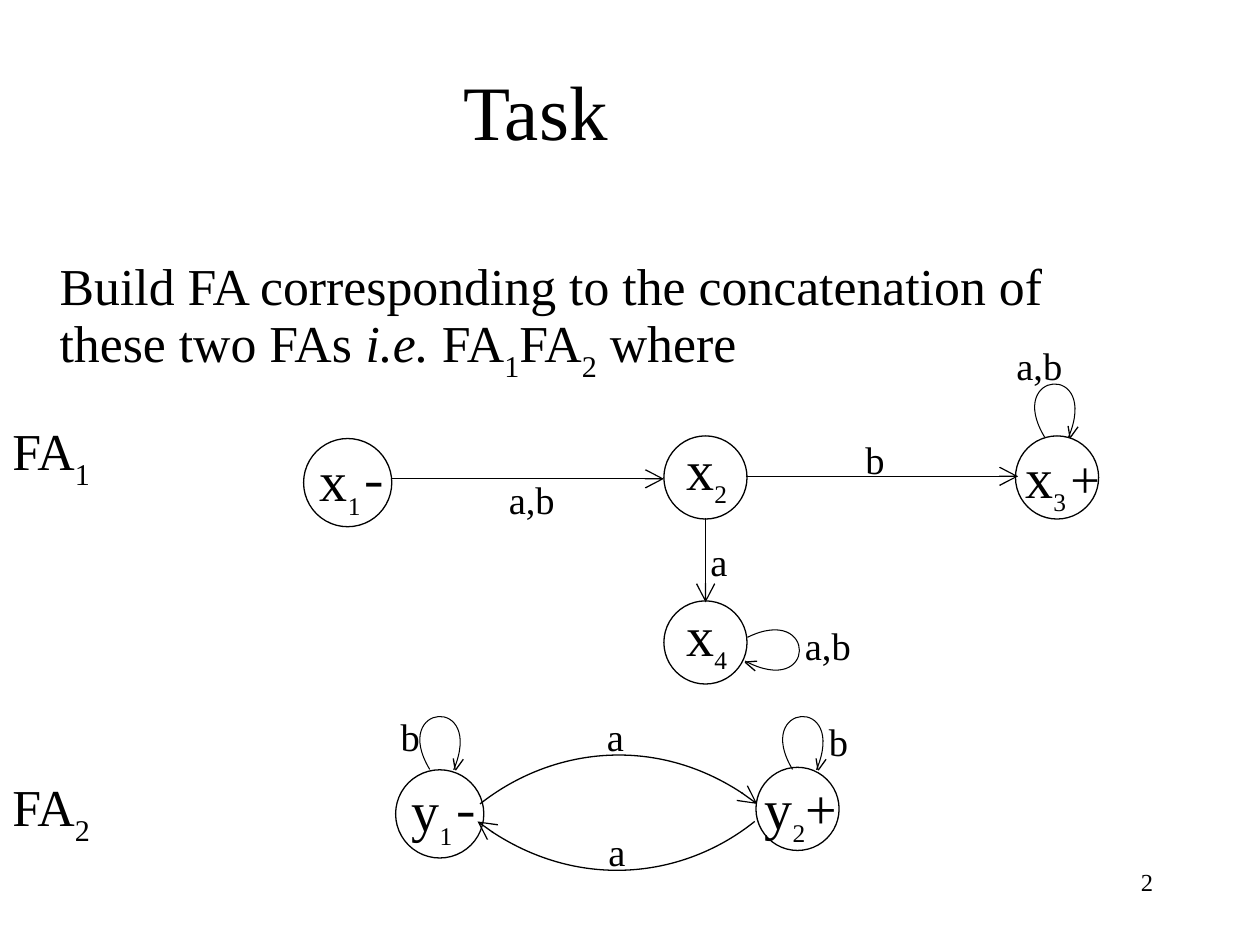
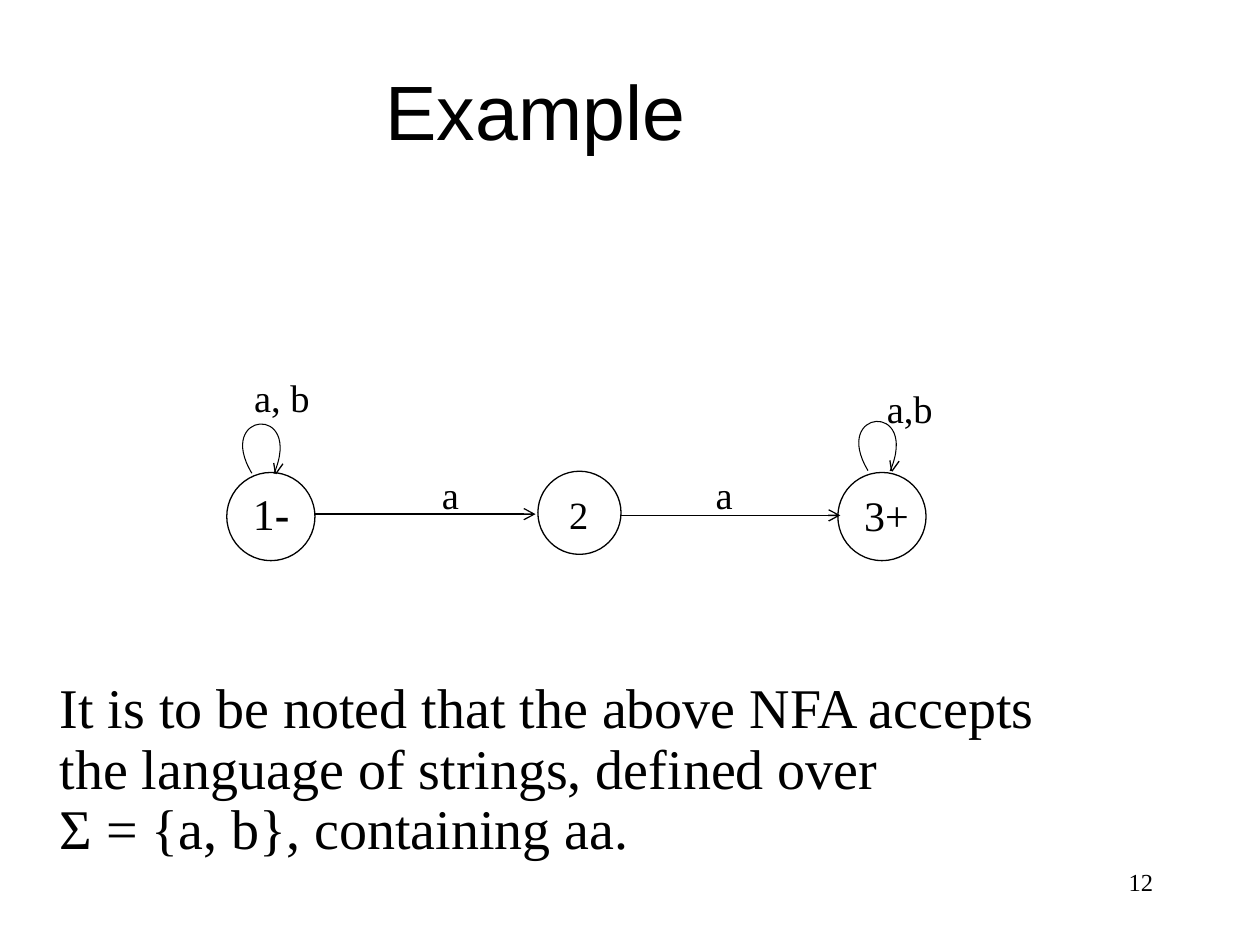
"""Build two slides of finite automata diagrams."""
from dataclasses import dataclass
from math import cos, radians, sin

from lxml import etree
from pptx import Presentation
from pptx.dml.color import RGBColor
from pptx.enum.shapes import MSO_CONNECTOR, MSO_SHAPE
from pptx.enum.text import MSO_ANCHOR, PP_ALIGN
from pptx.oxml.ns import qn
from pptx.util import Pt

LEFT, CENTER, RIGHT = PP_ALIGN.LEFT, PP_ALIGN.CENTER, PP_ALIGN.RIGHT
TOP, MIDDLE, BOTTOM = MSO_ANCHOR.TOP, MSO_ANCHOR.MIDDLE, MSO_ANCHOR.BOTTOM
OVAL, STRAIGHT = MSO_SHAPE.OVAL, MSO_CONNECTOR.STRAIGHT


@dataclass(frozen=True)
class Theme:
    ink: RGBColor = RGBColor(0, 0, 0)
    paper: RGBColor = RGBColor(255, 255, 255)
    serif: str = "Times New Roman"
    sans: str = "Arial"
    sign: str = "Karla"
    title: float = 44
    task: float = 29.6
    note: float = 32
    state: float = 32
    plus: float = 30
    index: float = 25
    gap: float = 17
    label: float = 22
    start: float = 25
    final: float = 24
    number: float = 14
    line: float = 0.75
    loop: float = 0.6


T = Theme()
LOOP = [(-1.2, 22.7), (-27.3, -13.1), (26.7, -22.7), (12.4, 21.7)]
LOOP_TILT, BARB_TILT = 5, -5
BARBS = [
    ((13.7, 19.8), [(-2.5, 2.9), (2.5, -2.9)]),
    ((10.8, 19.4), [(-0.25, -3.25), (0.25, 3.25)]),
]
SMALL, LARGE = 47.5, 50.4
BLANK_LINE = 28.3
SUB = {"baseline": -30000}
INDEX = {"size": T.index, **SUB}
GAP = (" ", {"size": T.gap, **SUB})
MINUS = ("-", {"name": T.sign})


def state_name(letter, index, *sign):
    return [(letter, {}), (index, INDEX), *sign]


SLIDES = [
    {
        "title": ("Task", T.serif),
        "number": "2",
        "head": "lg",
        "body": {"box": (0, 148.3, 643.7, 328.3), "size": T.task, "spacing": 0.8},
        "paragraphs": [
            (27, 0, [
                ("Build FA corresponding to the concatenation of these two FAs ", {}),
                ("i.e. ", {"italic": True}), ("FA", {}), ("1", SUB),
                ("FA", {}), ("2", SUB), (" where", {})]),
            (0, BLANK_LINE, [("FA", {}), ("1", SUB)]),
            (0, 6 * BLANK_LINE, [("FA", {}), ("2", SUB)]),
        ],
        "states": [
            (173.5, 250.6, LARGE), (379.4, 249.1, SMALL), (580.3, 249.1, SMALL),
            (379.4, 343.4, SMALL), (226.1, 439.9, LARGE), (432, 438.5, SMALL),
        ],
        "names": [
            (175.7, 251.3, T.state, state_name("x", "1", GAP, MINUS)),
            (385.2, 244.8, T.state, state_name("x", "2")),
            (578.9, 249.1, T.state,
             state_name("x", "3", GAP, ("+", {"size": T.plus}))),
            (385.2, 339.8, T.state, state_name("x", "4")),
            (228.2, 439.9, T.state, state_name("y", "1", GAP, MINUS)),
            (429.8, 438.5, T.state, state_name("y", "2", ("+", {}))),
        ],
        "arrows": [(223.2, 273.6, 379.4, 273.6), (426.2, 272.2, 581.8, 272.2),
                   (403.2, 295.9, 403.2, 344.2)],
        "arcs": [
            [(274.3, 459.4), (315.4, 427), (380.9, 419), (432.7, 459.4)],
            [(431.3, 469.4), (391, 501.8), (325.4, 509.8), (272.9, 469.4)],
        ],
        "loops": [(600.1, 227.2, 1, 0), (449.6, 369, 1, 95),
                  (248.8, 417.2, 1, 0), (456.1, 417.2, 1, 0)],
        "labels": [
            (573.8, 192.2, "a,b"), (487.4, 245.5, "b"), (283.7, 268.6, "a,b"),
            (452.9, 352.1, "a,b"), (398.9, 303.8, "a"), (339.8, 403.9, "a"),
            (340.6, 469.4, "a"), (466.6, 406.8, "b"), (221.8, 403.9, "b"),
        ],
    },
    {
        "title": ("Example", T.sans),
        "number": "12",
        "head": "med",
        "body": {"box": (0, 126, 643.7, 390.2), "size": T.note, "spacing": 0.9,
                 "anchor": BOTTOM, "bottom": 23.6},
        "paragraphs": [
            (27, 0, [
                ("It is to be noted that the above NFA accepts the language of "
                 "strings, defined over\vΣ = {a, b}, containing aa.", {})]),
        ],
        "states": [(129.6, 270, LARGE), (307.4, 269.3, SMALL), (478.8, 270, LARGE)],
        "names": [
            (137.5, 274.8, T.start, [("1", {}), ("-", {"bold": True})]),
            (318.2, 277.2, T.label, [("2", {})]),
            (486.7, 276.2, T.final, [("3+", {})]),
        ],
        "arrows": [(180, 293.8, 306, 293.8), (354.2, 294.5, 480.2, 294.5)],
        "arcs": [],
        "loops": [(146.9, 249.5, 0.93, 0), (499, 248, 0.93, 0)],
        "labels": [(499.7, 216.7, "a,b"), (245.5, 265.7, "a"),
                   (138.2, 210.2, "a, b"), (401.8, 265.7, "a")],
    },
]


def add_run(p, text, formats):
    r = p.add_run()
    r.text = text
    r.font.color.rgb = T.ink
    for key, value in formats.items():
        if key == "baseline":
            r._r.get_or_add_rPr().set(key, str(value))
        else:
            setattr(r.font, key, Pt(value) if key == "size" else value)


def add_text(s, box, paragraphs, size, font=T.serif, align=LEFT, anchor=TOP,
             spacing=1.0, bottom=3.6):
    sp = s.shapes.add_textbox(*map(Pt, box))
    tf = sp.text_frame
    tf.word_wrap, tf.vertical_anchor = True, anchor
    tf.margin_bottom = Pt(bottom)
    for n, (indent, before, runs) in enumerate(paragraphs):
        p = tf.add_paragraph() if n else tf.paragraphs[0]
        p.alignment, p.line_spacing, p.space_before = align, spacing, Pt(before)
        if indent:
            p._p.get_or_add_pPr().set("marL", str(Pt(indent)))
        for text, changes in runs:
            for i, part in enumerate(text.split("\v")):
                if i:
                    p.add_line_break()
                add_run(p, part, {"name": font, "size": size, **changes})


def add_line(s, box, runs, size, **options):
    add_text(s, box, [(0, 0, runs)], size, **options)


def style_line(sp, width, head=None):
    sp.line.color.rgb = T.ink
    sp.line.width = Pt(width)
    if head:
        etree.SubElement(sp.line._get_or_add_ln(), qn("a:tailEnd"),
                         type="arrow", w=head, len=head)


def add_state(s, x, y, size):
    sp = s.shapes.add_shape(OVAL, *map(Pt, (x, y, size, size)))
    sp.shadow.inherit = False
    sp.fill.solid()
    sp.fill.fore_color.rgb = T.paper
    style_line(sp, T.line)


def add_arrow(s, ends, head):
    sp = s.shapes.add_connector(STRAIGHT, *map(Pt, ends))
    style_line(sp, T.line, head)
    etree.SubElement(sp._element.spPr, qn("a:effectLst"))


def add_outline(s, points, width, head=None, tilt=0):
    first, *rest = [(Pt(x), Pt(y)) for x, y in points]
    builder = s.shapes.build_freeform(*first)
    builder.add_line_segments(rest, close=False)
    sp = builder.convert_to_shape()
    sp.shadow.inherit = False
    sp.fill.background()
    sp.rotation = tilt % 360
    style_line(sp, width, head)
    return sp


def add_curve(s, controls, width, head=None, tilt=0):
    sp = add_outline(s, controls, width, head, tilt)
    segments = list(sp._element.iter(qn("a:lnTo")))
    outline = segments[0].getparent()
    bezier = etree.SubElement(outline, qn("a:cubicBezTo"))
    for segment in segments:
        bezier.append(segment[0])
        outline.remove(segment)


def add_loop(s, x, y, scale, turn):
    def placed(points, cx, cy):
        return [(cx + scale * a, cy + scale * b) for a, b in points]

    add_curve(s, placed(LOOP, x, y), T.loop, tilt=turn + LOOP_TILT)
    c, d = scale * cos(radians(turn)), scale * sin(radians(turn))
    for (a, b), barb in BARBS:
        center = x + c * a - d * b, y + d * a + c * b
        add_outline(s, placed(barb, *center), T.line, tilt=turn + BARB_TILT)


def build_slide(prs, data):
    s = prs.slides.add_slide(prs.slide_layouts[6])
    title, font = data["title"]
    add_line(s, (0, 17.5, 612, 90), [(title, {})], T.title,
             font=font, align=CENTER, anchor=MIDDLE)
    add_text(s, paragraphs=data["paragraphs"], **data["body"])
    for state in data["states"]:
        add_state(s, *state)
    for ends in data["arrows"]:
        add_arrow(s, ends, data["head"])
    for controls in data["arcs"]:
        add_curve(s, controls, T.line, data["head"])
    for loop in data["loops"]:
        add_loop(s, *loop)
    for x, y, size, runs in data["names"]:
        add_line(s, (x, y, 64, 33), runs, size)
    for x, y, text in data["labels"]:
        add_line(s, (x, y, 72, 30), [(text, {})], T.label)
    add_line(s, (516.2, 491.8, 149.8, 36), [(data["number"], {})],
             T.number, align=RIGHT)


def main():
    prs = Presentation()
    prs.slide_width, prs.slide_height = Pt(720), Pt(540)
    for data in SLIDES:
        build_slide(prs, data)
    prs.save("out.pptx")


if __name__ == "__main__":
    main()
